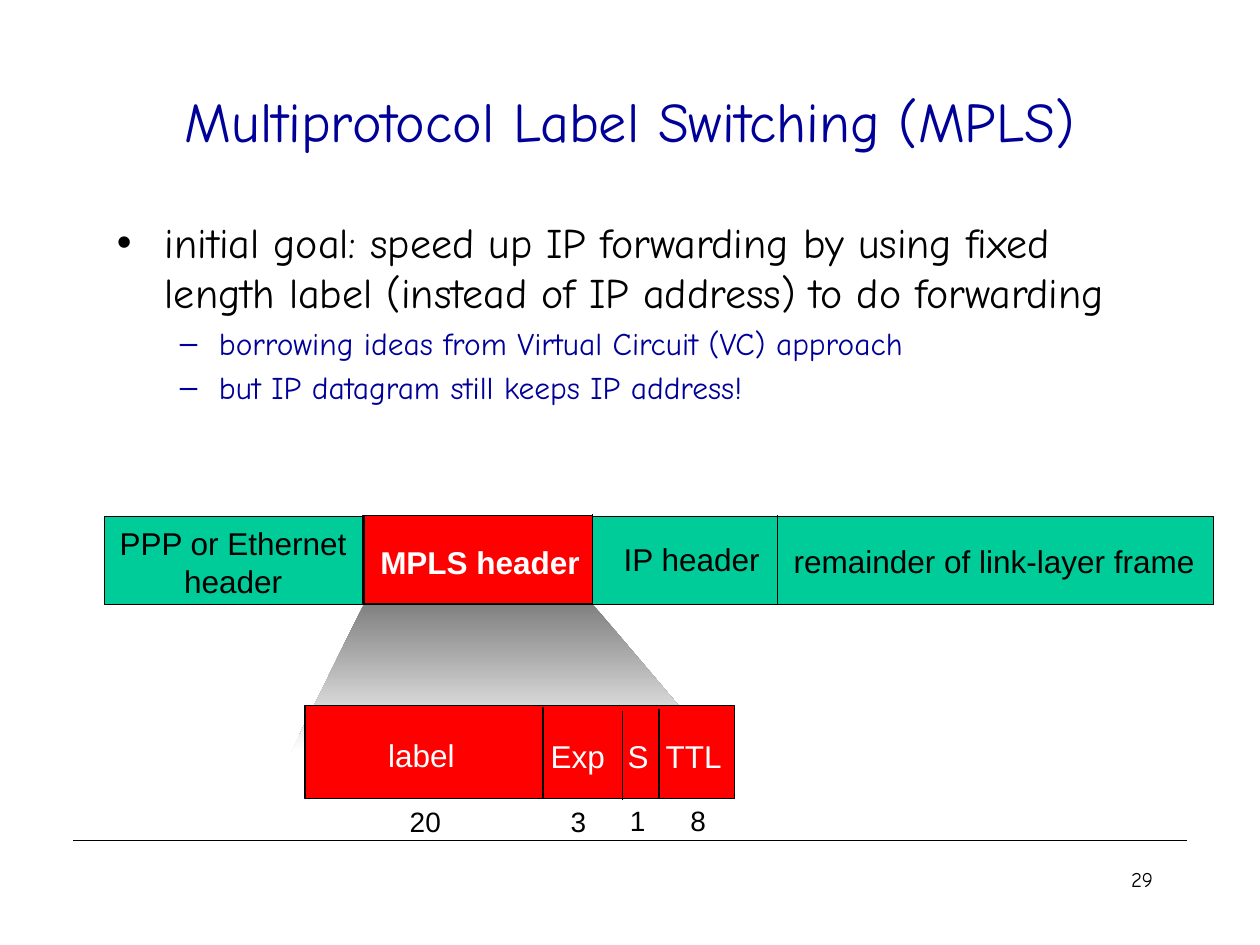
from lxml.etree import SubElement
from pptx import Presentation
from pptx.dml.color import RGBColor
from pptx.enum.shapes import MSO_CONNECTOR as Link, MSO_SHAPE as Preset
from pptx.enum.text import MSO_ANCHOR as Anchor, PP_ALIGN as Align
from pptx.oxml.ns import qn
from pptx.util import Inches, Pt

COLORS = {"ink": "000000", "navy": "000099", "green": "00CC99",
          "red": "FF0000", "white": "FFFFFF", "gray": "808080"}
RGB = {name: RGBColor.from_string(value) for name, value in COLORS.items()}
HAND, PLAIN = "Comic Neue", "Arial"

deck = Presentation()
deck.slide_width, deck.slide_height = Inches(10), Inches(7.5)
COL, ROW = deck.slide_width / 100, deck.slide_height / 75
slide = deck.slides.add_slide(deck.slide_layouts[5])
shapes = slide.shapes


def grid(left, top, width, height):
    return [int(left * COL), int(top * ROW), int(width * COL), int(height * ROW)]


def write(frame, lines, size, color, face=PLAIN, align=Align.CENTER, bold=False,
          wrap=False, anchor=Anchor.TOP, side=0.1):
    frame.text = "\n".join(lines)
    frame_format = {"word_wrap": wrap, "vertical_anchor": anchor,
                    "margin_left": Inches(side), "margin_right": Inches(side)}
    for key, value in frame_format.items():
        setattr(frame, key, value)
    for paragraph in frame.paragraphs:
        paragraph.alignment = align
        for key, value in {"size": Pt(size), "name": face, "bold": bold}.items():
            setattr(paragraph.font, key, value)
        paragraph.font.color.rgb = RGB[color]


title = shapes.title
title_box = dict(zip(("left", "top", "width", "height"), grid(7.5, 3.3, 85, 12.5)))
for key, value in title_box.items():
    setattr(title, key, value)
write(title.text_frame, ["Multiprotocol Label Switching (MPLS)"], 32, "navy", HAND,
      wrap=True, anchor=Anchor.MIDDLE)

goals = [
    ("initial goal: speed up IP forwarding by using fixed length label "
     "(instead of IP address) to do forwarding", 0, 24, "ink", "•", 0.38, -0.38),
    ("borrowing ideas from Virtual Circuit (VC) approach", 1, 18, "navy", "–", 0.81, -0.31),
    ("but IP datagram still keeps IP address!", 1, 18, "navy", "–", 0.81, -0.31),
]
body = shapes.add_textbox(*grid(8.3, 16.7, 85, 45)).text_frame
write(body, [goal[0] for goal in goals], 24, "ink", HAND, Align.LEFT, wrap=True)
for paragraph, (_, level, size, color, bullet, margin, indent) in zip(body.paragraphs, goals):
    paragraph.level = level
    paragraph.space_before = Pt(size * 0.2)
    paragraph.font.size = Pt(size)
    paragraph.font.color.rgb = RGB[color]
    properties = paragraph._p.get_or_add_pPr()
    properties.set("marL", str(Inches(margin)))
    properties.set("indent", str(Inches(indent)))
    SubElement(properties, qn("a:buFont"), typeface=PLAIN)
    SubElement(properties, qn("a:buChar"), char=bullet)

zoom_corners = [(28.9, 47.9), (23.1, 59.7), (57, 59.7), (47, 47.9)]
points = [(int(x * COL), int(y * ROW)) for x, y in zoom_corners]
builder = shapes.build_freeform(*points[0])
builder.add_line_segments(points[1:], close=True)
zoom = builder.convert_to_shape()
zoom.shadow.inherit = False
zoom.line.fill.background()
zoom.fill.gradient()
zoom.fill.gradient_angle = 270
for stop, color, position in zip(zoom.fill.gradient_stops, ("gray", "white"), (0, 1)):
    stop.color.rgb = RGB[color]
    stop.position = position

bars = [
    (8.3, 41, 88, 7, "green"),
    (28.8, 40.9, 18.2, 7, "red"),
    (24.2, 56, 34.1, 7.4, "red"),
]
for *place, color in bars:
    bar = shapes.add_shape(Preset.RECTANGLE, *grid(*place))
    bar.shadow.inherit = False
    bar.fill.solid()
    bar.fill.fore_color.rgb = RGB[color]
    bar.line.color.rgb = RGB["ink"]
    bar.line.width = Pt(0.75)

labels = [
    (8.1, 41.1, 20.8, 7, ["PPP or Ethernet", "header"], 18, "ink"),
    (48.5, 42.4, 12.8, 4, ["IP header"], 18, "ink"),
    (62, 42.5, 33.8, 4, ["remainder of link-layer frame"], 18, "ink"),
    (29.2, 42.6, 17.8, 4, ["MPLS header"], 18, "white"),
    (29.8, 57.9, 7.3, 4, ["label"], 18, "white"),
    (42.7, 58, 6.3, 4, ["Exp"], 18, "white"),
    (48.8, 58, 3.7, 4, ["S"], 18, "white"),
    (51.8, 58, 6.5, 4, ["TTL"], 18, "white"),
    (31.5, 63.4, 4.5, 3.7, ["20"], 16, "ink"),
    (44.3, 63.4, 3.2, 3.7, ["3"], 16, "ink"),
    (49, 63.3, 3.2, 3.7, ["1"], 16, "ink"),
    (53.8, 63.3, 3.2, 3.7, ["8"], 16, "ink"),
]
for *place, lines, size, color in labels:
    label = shapes.add_textbox(*grid(*place))
    write(label.text_frame, lines, size, color, bold=lines == ["MPLS header"], side=0)

rules = [(28.9, 40.9, 0, 7.1), (47, 40.8, 0, 7.2), (61.7, 40.9, 0, 7.1),
         (43.1, 56.1, 0, 7.2), (49.4, 56.4, 0, 7.1), (52.3, 56.3, 0, 7.1),
         (5.8, 66.7, 88.4, 0)]
for left, top, width, height in rules:
    ends = grid(left, top, left + width, top + height)
    rule = shapes.add_connector(Link.STRAIGHT, *ends)
    rule.line.color.rgb = RGB["ink"]
    rule.line.width = Pt(0.75)
    SubElement(rule._element.spPr, qn("a:effectLst"))

page_number = shapes.add_textbox(*grid(71.7, 68.3, 20.8, 5))
write(page_number.text_frame, ["29"], 12, "ink", HAND, Align.RIGHT, wrap=True)

deck.save("out.pptx")
